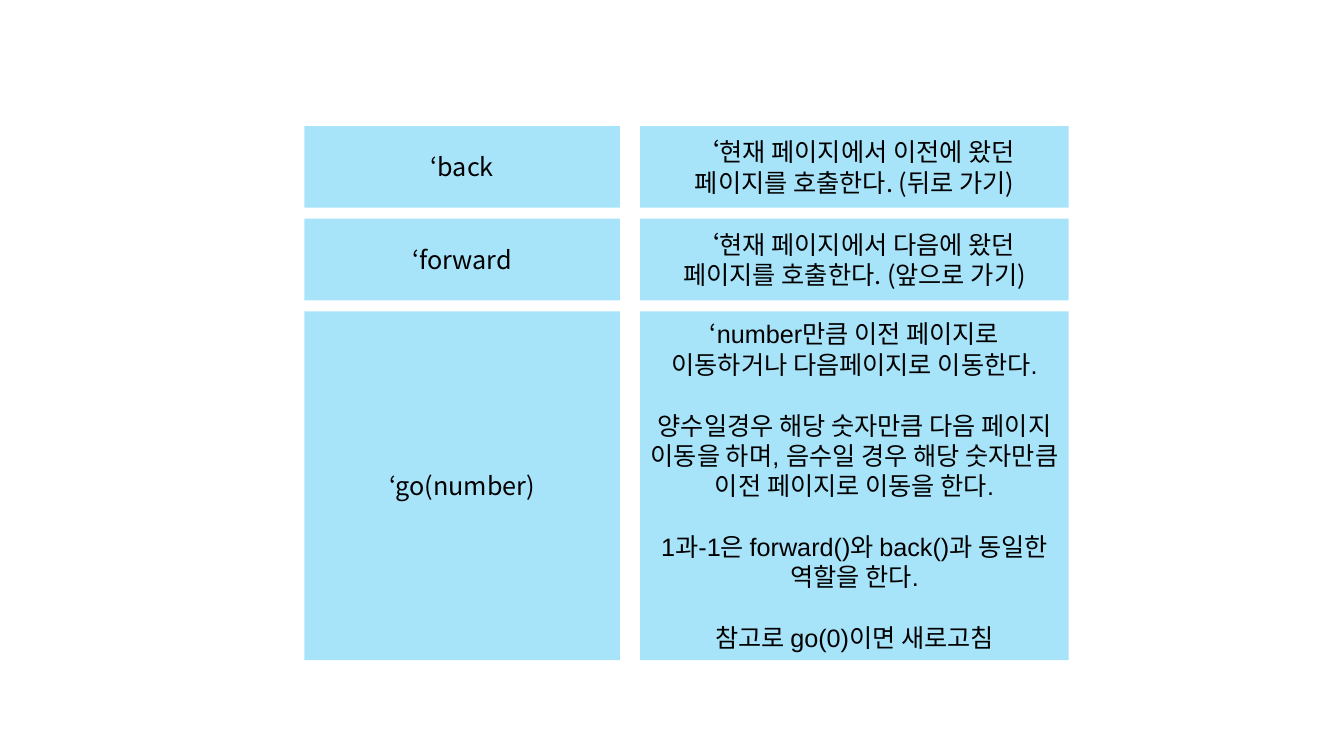
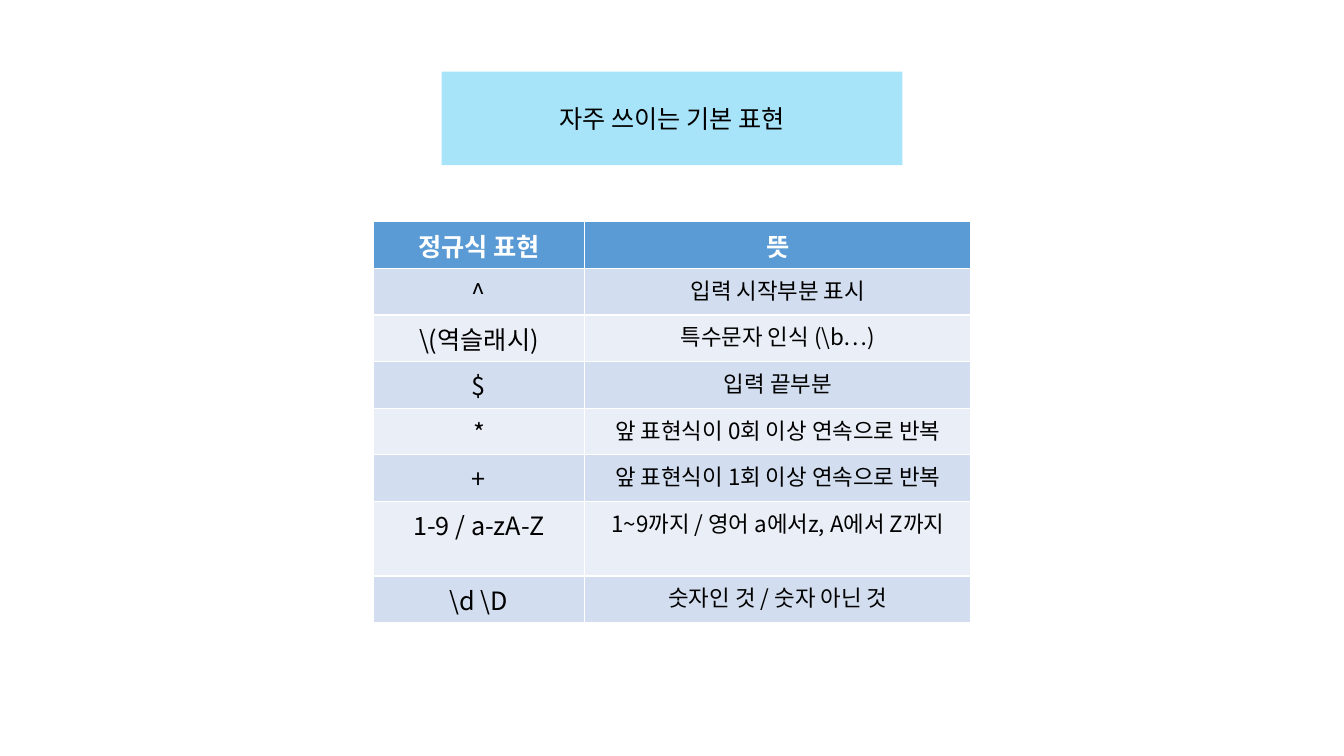
from lxml import etree
from pptx import Presentation
from pptx.dml.color import RGBColor
from pptx.enum.shapes import MSO_SHAPE as Shape
from pptx.enum.text import MSO_ANCHOR as Anchor, MSO_AUTO_SIZE as AutoSize, PP_ALIGN as Align
from pptx.oxml.ns import qn
from pptx.util import Inches, Pt

WIDTH, HEIGHT = 13.33, 7.5
TITLE_ONLY, BLANK = 5, 6


def color(value):
    """Turn a hex string into a colour."""
    return RGBColor.from_string(value)


def offsets(start, sizes, gap):
    """Return the start of each track in a row of tracks with equal gaps."""
    return [start + sum(sizes[:index]) + gap * index for index in range(len(sizes))]


class Deck:
    """Holds the shared style and the current slide."""

    font, plain_font = "Noto Sans CJK KR", "Arial"
    ink, white = "000000", "FFFFFF"
    box_fill, box_opacity = "00B0F0", 34
    header_fill, band_fills = "5B9BD5", ("D2DEEF", "EAEFF7")
    text_size, small_size, paragraph_gap = 18, 16, 22

    def __init__(self):
        """Open an empty wide presentation."""
        self.presentation = Presentation()
        self.presentation.slide_width = Inches(WIDTH)
        self.presentation.slide_height = Inches(HEIGHT)
        self.slide = None

    def add_slide(self, layout):
        """Start a slide on the numbered layout."""
        self.slide = self.presentation.slides.add_slide(
            self.presentation.slide_layouts[layout])

    def format_run(self, run, size, ink, font=None, bold=False):
        """Set the size, colour, font and weight of a run."""
        run.font.name = font or self.font
        run.font.size = Pt(size)
        run.font.bold = bold
        run.font.color.rgb = color(ink)

    def style_box(self, shape):
        """Give a shape the see-through blue fill and middle anchor."""
        shape.fill.solid()
        shape.fill.fore_color.rgb = color(self.box_fill)
        fill_color = shape.element.spPr.find(qn("a:solidFill"))[0]
        alpha = etree.SubElement(fill_color, qn("a:alpha"))
        alpha.set("val", str(self.box_opacity * 1000))
        shape.line.fill.background()
        frame = shape.text_frame
        frame.word_wrap = True
        frame.auto_size = AutoSize.NONE
        frame.vertical_anchor = Anchor.MIDDLE

    def fill_text(self, frame, paragraphs):
        """Fill a frame with centred paragraphs, each a list of (text, font) runs."""
        for index, runs in enumerate(paragraphs):
            paragraph = frame.add_paragraph() if index else frame.paragraphs[0]
            paragraph.alignment = Align.CENTER
            if index:
                paragraph.space_before = Pt(self.paragraph_gap)
            for text, font in runs:
                run = paragraph.add_run()
                run.text = text
                self.format_run(run, self.text_size, self.ink, font)

    def box(self, left, top, width, height, paragraphs):
        """Add a blue box with text."""
        shape = self.slide.shapes.add_shape(
            Shape.RECTANGLE, Inches(left), Inches(top), Inches(width), Inches(height))
        shape.shadow.inherit = False
        self.style_box(shape)
        self.fill_text(shape.text_frame, paragraphs)

    def title(self, left, top, width, height, text):
        """Move the title placeholder and style it as a blue box."""
        shape = self.slide.shapes.title
        shape.left, shape.top = Inches(left), Inches(top)
        shape.width, shape.height = Inches(width), Inches(height)
        self.style_box(shape)
        self.fill_text(shape.text_frame, [[(text, self.font)]])

    def table(self, left, top, widths, row_height, rows):
        """Add a banded table whose first row is the header."""
        table = self.slide.shapes.add_table(
            len(rows), len(widths), Inches(left), Inches(top),
            Inches(sum(widths)), Inches(row_height * len(rows))).table
        for column, width in zip(table.columns, widths):
            column.width = Inches(width)
        for row_index, row in enumerate(rows):
            header = row_index == 0
            fill = self.header_fill if header else self.band_fills[(row_index - 1) % 2]
            for column_index, text in enumerate(row):
                cell = table.cell(row_index, column_index)
                cell.fill.solid()
                cell.fill.fore_color.rgb = color(fill)
                cell.text_frame.text = text
                paragraph = cell.text_frame.paragraphs[0]
                paragraph.alignment = Align.CENTER
                size = self.small_size if column_index and not header else self.text_size
                self.format_run(paragraph.runs[0], size,
                                self.white if header else self.ink, bold=header)


def build_history_slide(deck):
    """Explain the methods that move through the page history."""
    deck.add_slide(BLANK)
    plain = deck.plain_font
    methods = [
        ("‘back", [[("‘현재 페이지에서 이전에 왔던 페이지를 호출한다. (뒤로 가기)", deck.font)]]),
        ("‘forward", [[("‘현재 페이지에서 다음에 왔던 페이지를 호출한다. (앞으로 가기)", deck.font)]]),
        ("‘go(number)", [
            [("‘", deck.font),
             ("number만큼 이전 페이지로 이동하거나 다음페이지로 이동한다.", plain)],
            [("양수일경우 해당 숫자만큼 다음 페이지 이동을 하며, 음수일 경우 해당 "
              "숫자만큼 이전 페이지로 이동을 한다.", plain)],
            [("1과-1은 forward()와 back()과 동일한 역할을 한다.", plain)],
            [("참고로 go(0)이면 새로고침", plain)],
        ]),
    ]
    widths, heights = [3.13, 4.25], [0.81, 0.81, 3.46]
    lefts, tops = offsets(3.02, widths, 0.2), offsets(1.25, heights, 0.11)
    for top, height, (name, description) in zip(tops, heights, methods):
        cells = [[[(name, deck.font)]], description]
        for left, width, paragraphs in zip(lefts, widths, cells):
            deck.box(left, top, width, height, paragraphs)


def build_pattern_slide(deck):
    """List the common regular expressions."""
    deck.add_slide(TITLE_ONLY)
    deck.title(4.38, 0.71, 4.57, 0.93, "자주 쓰이는 기본 표현")
    deck.table(3.7, 2.2, [2.1, 3.83], 0.41, [
        ("정규식 표현", "뜻"),
        ("^", "입력 시작부분 표시"),
        ("\\(역슬래시)", "특수문자 인식 (\\b…)"),
        ("$", "입력 끝부분"),
        ("*", "앞 표현식이 0회 이상 연속으로 반복"),
        ("+", "앞 표현식이 1회 이상 연속으로 반복"),
        ("1-9 / a-zA-Z", "1~9까지 / 영어 a에서z, A에서 Z까지"),
        ("\\d \\D", "숫자인 것 / 숫자 아닌 것"),
    ])


deck = Deck()
build_history_slide(deck)
build_pattern_slide(deck)
deck.presentation.save("out.pptx")
